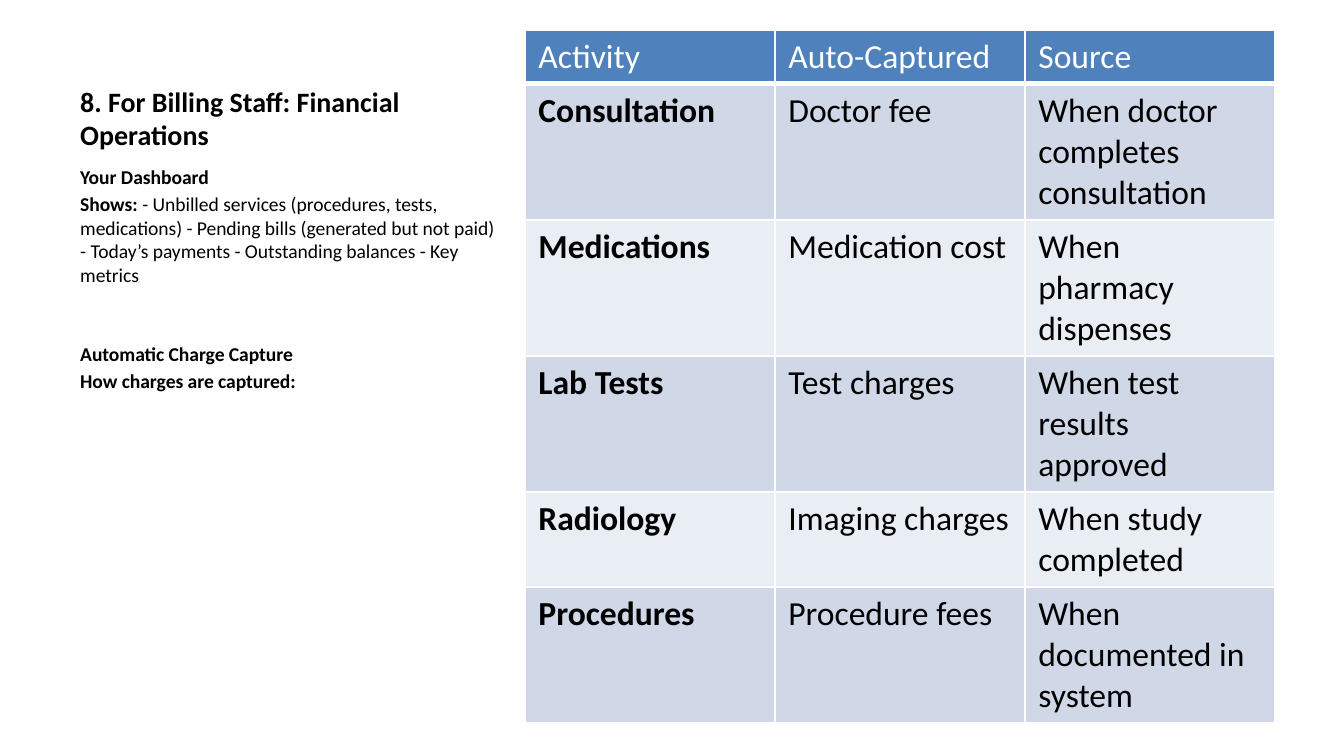
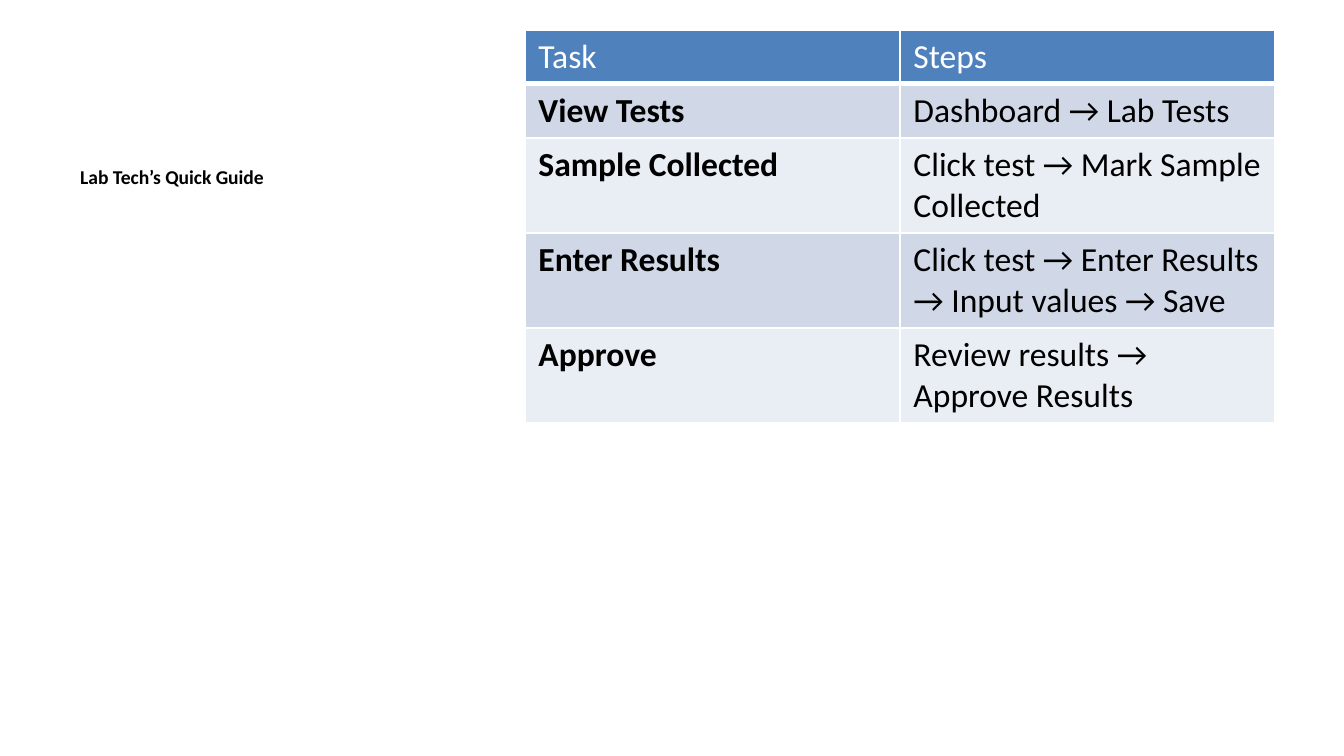
from lxml.etree import SubElement
from pptx import Presentation
from pptx.dml.color import RGBColor
from pptx.enum.text import MSO_ANCHOR
from pptx.oxml.ns import qn
from pptx.util import Emu, Pt

# Content: text parts are (text, bold); each table row is (lines of text, cells)
SLIDES = [
    {
        "title": "8. For Billing Staff: Financial Operations",
        "sections": [
            ("Your Dashboard", [
                ("Shows:", True),
                (" - Unbilled services (procedures, tests, medications)"
                 " - Pending bills (generated but not paid) - Today’s payments"
                 " - Outstanding balances - Key metrics", False),
            ]),
            ("Automatic Charge Capture", [("How charges are captured:", True)]),
        ],
        "rows": [
            (1, ["Activity", "Auto-Captured", "Source"]),
            (3, ["Consultation", "Doctor fee", "When doctor completes consultation"]),
            (3, ["Medications", "Medication cost", "When pharmacy dispenses"]),
            (3, ["Lab Tests", "Test charges", "When test results approved"]),
            (2, ["Radiology", "Imaging charges", "When study completed"]),
            (3, ["Procedures", "Procedure fees", "When documented in system"]),
        ],
    },
    {
        "title": None,
        "sections": [("Lab Tech’s Quick Guide", [])],
        "rows": [
            (1, ["Task", "Steps"]),
            (1, ["View Tests", "Dashboard → Lab Tests"]),
            (2, ["Sample Collected", "Click test → Mark Sample Collected"]),
            (2, ["Enter Results", "Click test → Enter Results → Input values → Save"]),
            (2, ["Approve", "Review results → Approve Results"]),
        ],
    },
]

# Shared style
FONT = "Calibri"
BLACK = RGBColor(0x00, 0x00, 0x00)
WHITE = RGBColor(0xFF, 0xFF, 0xFF)
HEADER_BLUE = RGBColor(0x4F, 0x81, 0xBD)
BANDS = [RGBColor(0xE9, 0xED, 0xF4), RGBColor(0xD0, 0xD8, 0xE8)]
TITLE_SIZE, BODY_SIZE, TABLE_SIZE = 15, 10.5, 18
HEADING_GAP, TEXT_GAP = 30, 2.1

# Layout in px
SLIDE_W, SLIDE_H = 1344, 756
TITLE_BOX = (67, 30, 442, 128)
BODY_BOX = (67, 158, 442, 517)
TABLE_LEFT, TABLE_TOP, TABLE_W = 525, 30, 750
ROW_PADDING, LINE_H = 13, 41


def px(length):
    return Emu(round(length * 914400 / 134.4))


def add_text(paragraph, text, size=BODY_SIZE, color=BLACK, bold=False):
    run = paragraph.add_run()
    run.text = text
    run.font.name = FONT
    run.font.size = Pt(size)
    run.font.bold = bold
    run.font.color.rgb = color


def add_frame(slide, box, anchor):
    frame = slide.shapes.add_textbox(*map(px, box)).text_frame
    frame.word_wrap = True
    frame.vertical_anchor = anchor
    return frame


def add_title(slide, title):
    frame = add_frame(slide, TITLE_BOX, MSO_ANCHOR.BOTTOM)
    add_text(frame.paragraphs[0], title, size=TITLE_SIZE, bold=True)


def add_sections(slide, sections):
    frame = add_frame(slide, BODY_BOX, MSO_ANCHOR.TOP)
    for index, (heading, parts) in enumerate(sections):
        paragraph = frame.add_paragraph() if index else frame.paragraphs[0]
        paragraph.space_before = Pt(HEADING_GAP)
        add_text(paragraph, heading, bold=True)
        if parts:
            paragraph = frame.add_paragraph()
            paragraph.space_before = Pt(TEXT_GAP)
            for text, bold in parts:
                add_text(paragraph, text, bold=bold)


def add_borders(cell, bottom):
    # Borders precede the fill in the cell properties
    properties = cell._tc.get_or_add_tcPr()
    for side, width in (("L", 1), ("R", 1), ("T", 1), ("B", bottom)):
        line = SubElement(properties, qn(f"a:ln{side}"), w=str(Pt(width)))
        fill = SubElement(line, qn("a:solidFill"))
        SubElement(fill, qn("a:srgbClr"), val=str(WHITE))


def add_grid(slide, rows):
    heights = [ROW_PADDING + LINE_H * lines for lines, _ in rows]
    column_count = len(rows[0][1])
    grid = slide.shapes.add_table(
        len(rows), column_count,
        px(TABLE_LEFT), px(TABLE_TOP), px(TABLE_W), px(sum(heights))).table
    for column in grid.columns:
        column.width = px(TABLE_W / column_count)
    for r, (_, texts) in enumerate(rows):
        header = r == 0
        grid.rows[r].height = px(heights[r])
        for c, text in enumerate(texts):
            cell = grid.cell(r, c)
            add_borders(cell, bottom=3 if header else 1)
            cell.fill.solid()
            cell.fill.fore_color.rgb = HEADER_BLUE if header else BANDS[r % 2]
            add_text(cell.text_frame.paragraphs[0], text, size=TABLE_SIZE,
                     color=WHITE if header else BLACK,
                     bold=c == 0 and not header)


def main():
    deck = Presentation()
    deck.slide_width, deck.slide_height = px(SLIDE_W), px(SLIDE_H)
    for content in SLIDES:
        slide = deck.slides.add_slide(deck.slide_layouts[6])
        if content["title"]:
            add_title(slide, content["title"])
        add_sections(slide, content["sections"])
        add_grid(slide, content["rows"])
    deck.save("out.pptx")


if __name__ == "__main__":
    main()
